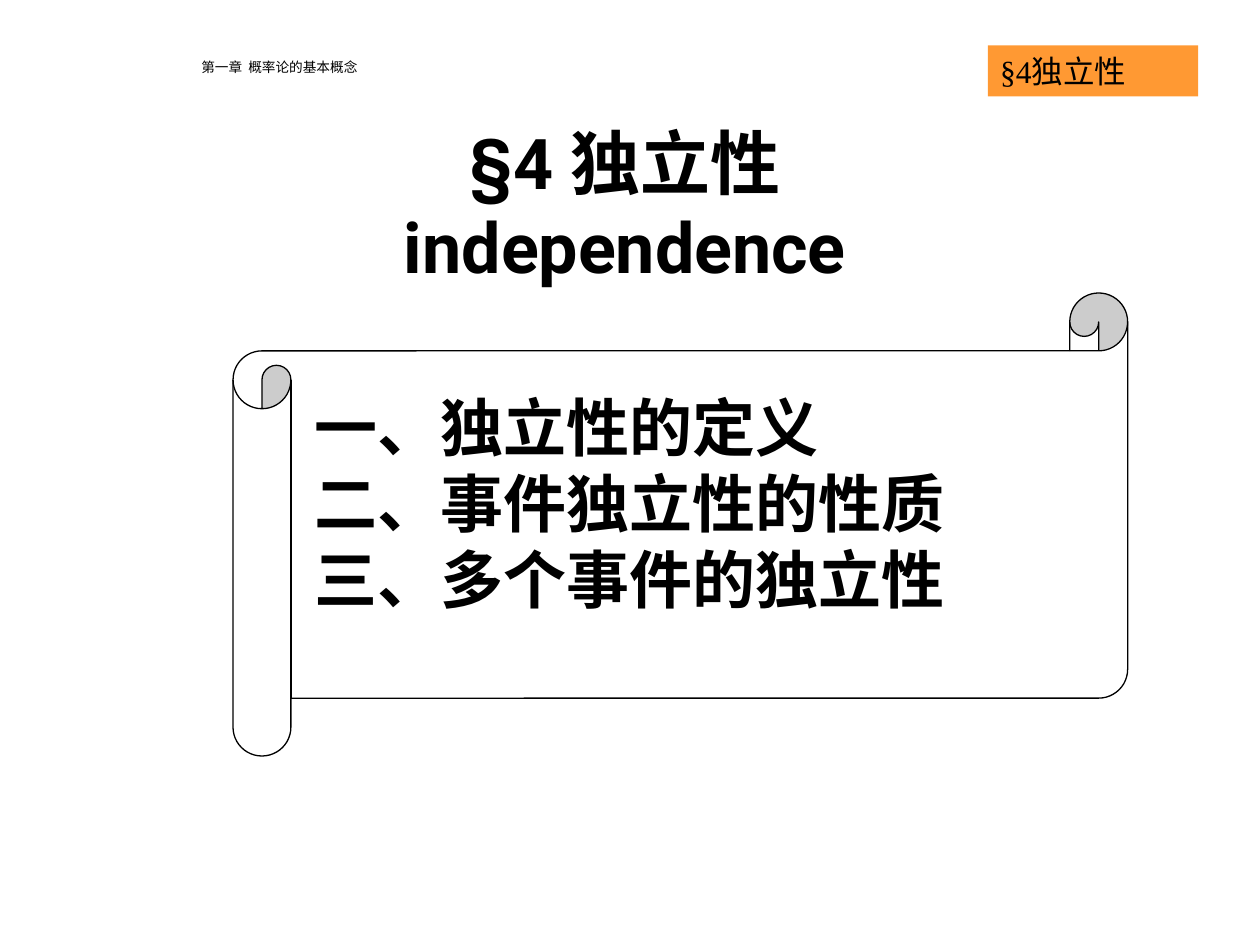
from dataclasses import dataclass

from pptx import Presentation
from pptx.dml.color import RGBColor
from pptx.enum.shapes import MSO_SHAPE
from pptx.enum.text import MSO_ANCHOR, PP_ALIGN
from pptx.util import Inches, Pt


@dataclass(frozen=True)
class Theme:
    """Colours, fonts and type sizes of the slide."""
    ink: RGBColor = RGBColor(0, 0, 0)
    paper: RGBColor = RGBColor(255, 255, 255)
    accent: RGBColor = RGBColor(0xFF, 0x99, 0x33)
    main_font: str = "Roboto"
    header_font: str = "Noto Sans CJK SC"
    tag_font: str = "Times New Roman"
    title_size: float = 40
    topic_size: float = 36
    tag_size: float = 18
    header_size: float = 7.8
    outline: float = 0.75


THEME = Theme()
WIDTH, HEIGHT = 10, 7.5
TOPICS = ("一、独立性的定义", "二、事件独立性的性质", "三、多个事件的独立性")


def box(left, top, width, height):
    """Turn shares of the slide's size into lengths."""
    return (Inches(left * WIDTH), Inches(top * HEIGHT),
            Inches(width * WIDTH), Inches(height * HEIGHT))


def write(shape, text, font, size, bold=False, align=PP_ALIGN.LEFT,
          anchor=MSO_ANCHOR.TOP, line_spacing=None):
    """Put formatted text into a shape."""
    frame = shape.text_frame
    frame.word_wrap = True
    frame.vertical_anchor = anchor
    frame.text = text
    for paragraph in frame.paragraphs:
        paragraph.alignment = align
        if line_spacing:
            paragraph.line_spacing = line_spacing
        for run in paragraph.runs:
            run.font.name = font
            run.font.size = Pt(size)
            run.font.bold = bold
            run.font.color.rgb = THEME.ink


def add_text(slide, area, text, font, size, **style):
    """Add a text box."""
    write(slide.shapes.add_textbox(*box(*area)), text, font, size, **style)


def add_panel(slide, kind, area, fill, outlined=False):
    """Add a filled preset shape, with or without an outline."""
    shape = slide.shapes.add_shape(kind, *box(*area))
    shape.shadow.inherit = False
    shape.fill.solid()
    shape.fill.fore_color.rgb = fill
    if outlined:
        shape.line.color.rgb = THEME.ink
        shape.line.width = Pt(THEME.outline)
    else:
        shape.line.fill.background()
    return shape


def main():
    """Build the section slide and save it."""
    presentation = Presentation()
    presentation.slide_width = Inches(WIDTH)
    presentation.slide_height = Inches(HEIGHT)
    slide = presentation.slides.add_slide(presentation.slide_layouts[6])

    add_panel(slide, MSO_SHAPE.HORIZONTAL_SCROLL, (0.185, 0.31, 0.71, 0.49),
              THEME.paper, outlined=True)
    add_text(slide, (0.24, 0.405, 0.65, 0.253), "\n".join(TOPICS),
             THEME.main_font, THEME.topic_size, bold=True)
    add_text(slide, (0.15, 0.056, 0.85, 0.033), "第一章  概率论的基本概念",
             THEME.header_font, THEME.header_size,
             anchor=MSO_ANCHOR.MIDDLE, line_spacing=0.8)
    tag = add_panel(slide, MSO_SHAPE.RECTANGLE, (0.784, 0.048, 0.167, 0.054),
                    THEME.accent)
    write(tag, "§4独立性", THEME.tag_font, THEME.tag_size)
    add_text(slide, (0.059, 0.143, 0.874, 0.168), "§4 独立性\vindependence",
             THEME.main_font, THEME.title_size, bold=True,
             align=PP_ALIGN.CENTER, anchor=MSO_ANCHOR.BOTTOM)
    presentation.save("out.pptx")


if __name__ == "__main__":
    main()
